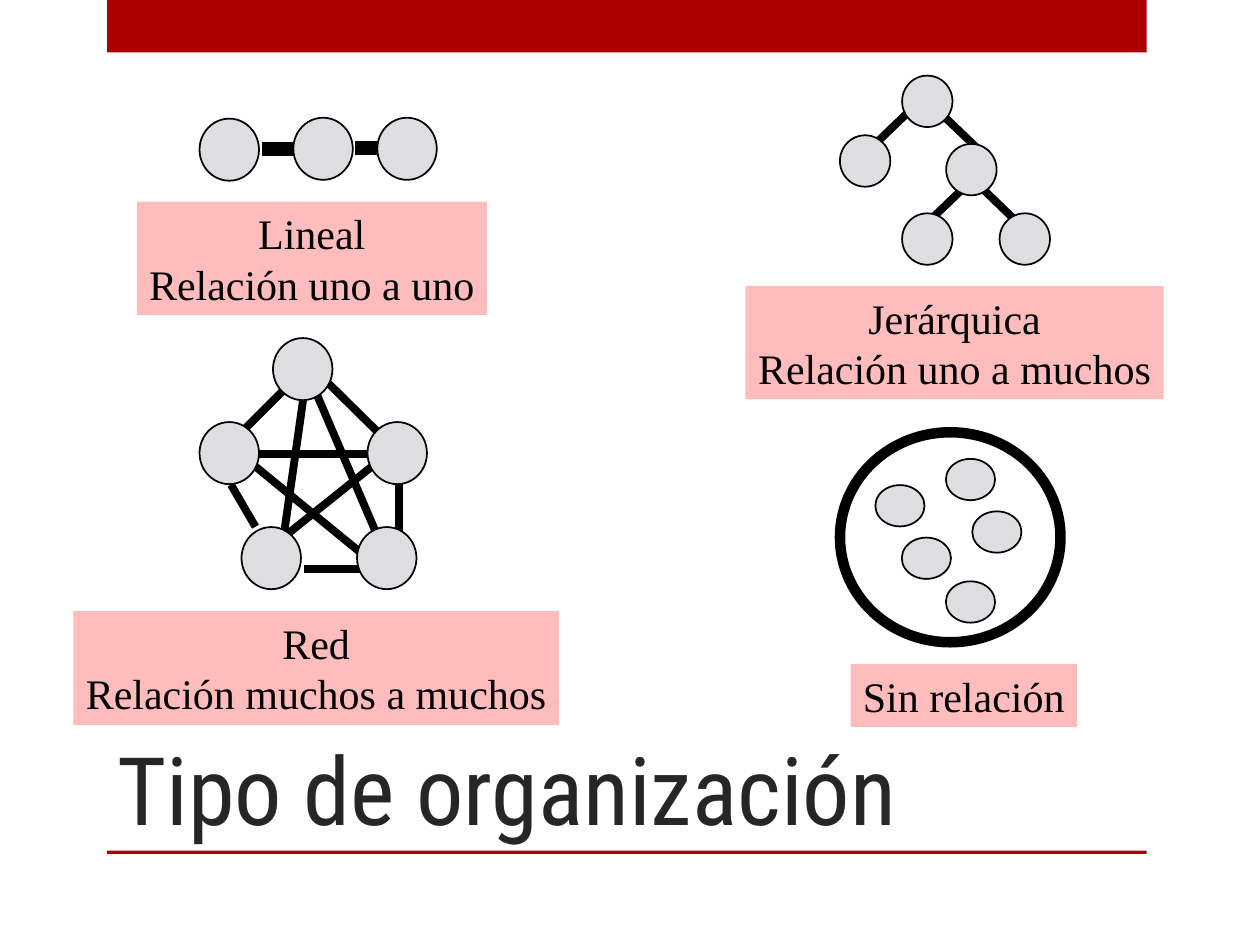
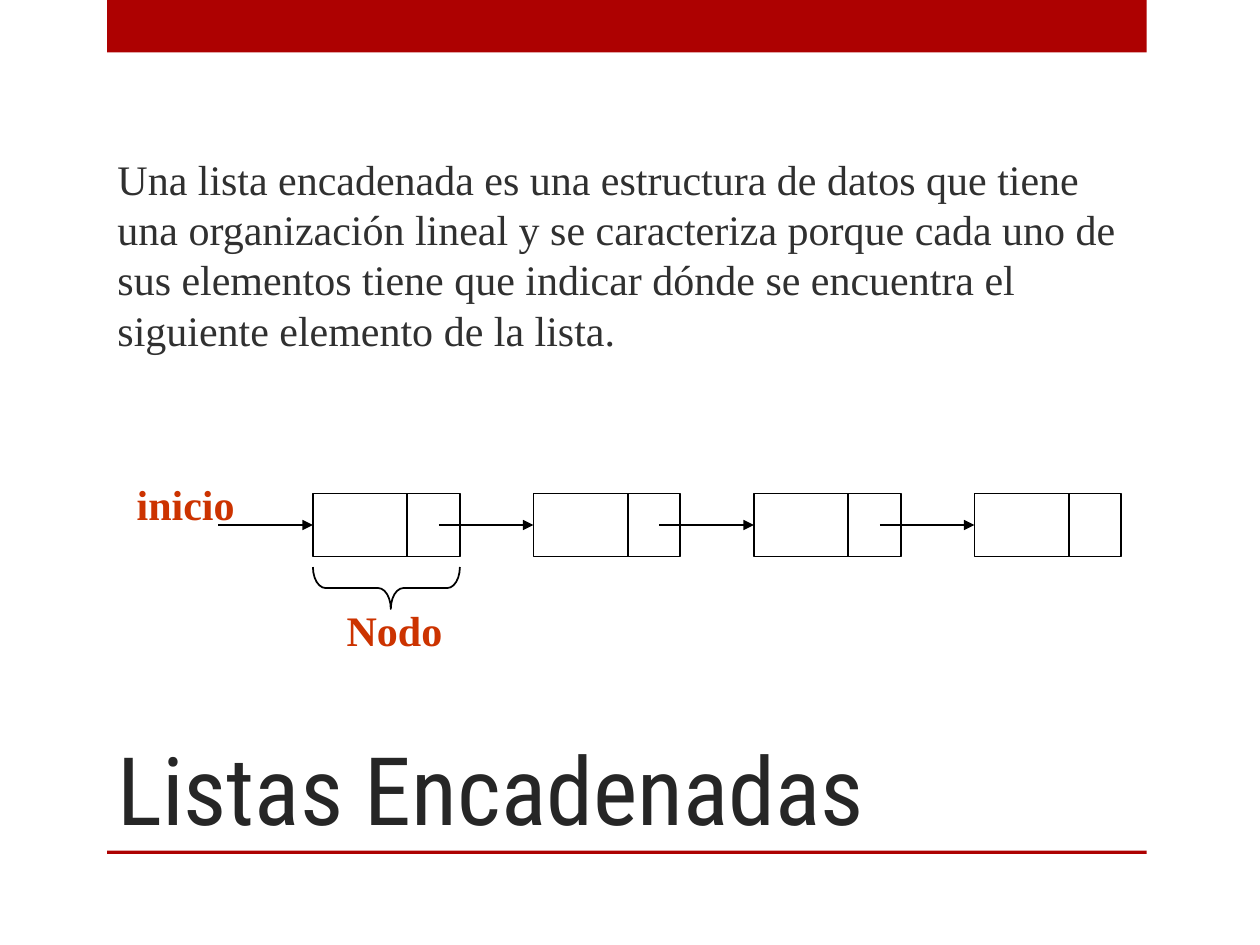
"""Build two slides on types of organisation and linked lists."""
from lxml.etree import SubElement
from pptx import Presentation
from pptx.dml.color import RGBColor
from pptx.enum.shapes import MSO_CONNECTOR, MSO_SHAPE
from pptx.enum.text import MSO_ANCHOR, PP_ALIGN
from pptx.oxml.ns import qn
from pptx.util import Pt

RED = RGBColor(0xAD, 0x01, 0x01)
PINK = RGBColor(0xFF, 0xBC, 0xBC)
GREY = RGBColor(0xDE, 0xDE, 0xE0)
BLACK = RGBColor(0, 0, 0)
TITLE_COLOR = RGBColor(0x26, 0x26, 0x26)
BODY_COLOR = RGBColor(0x30, 0x30, 0x30)
ORANGE = RGBColor(0xCC, 0x33, 0x00)
TITLE_FONT = "Roboto Condensed"
BODY_FONT = "Times New Roman"

BANDS = [(61.2, 0, 594, 30), (61.2, 486, 594, 2)]
TITLE_BOX = (60, 360, 534, 126)

DIAGRAMS = [
    {
        "label": ["Lineal", "Relación uno a uno"],
        "label_box": (78.2, 115.2, 200, 64.8),
        "node_size": (34, 35.5),
        "nodes": [(114, 67.8), (167.6, 67.3), (215.6, 67.3)],
        "edge_width": 8,
        "edges": [(149.6, 85, 167.6, 85), (203, 84.8, 221, 84.8)],
    },
    {
        "label": ["Jerárquica", "Relación uno a muchos"],
        "label_box": (426, 163.4, 239, 64.8),
        "node_size": (28.8, 29.4),
        "nodes": [(515.5, 43.2), (480, 77.3), (540.7, 82.2), (515.5, 121.9), (571.2, 121.9)],
        "edge_width": 4.5,
        "edges": [(500.4, 82, 520.6, 62.6), (540.7, 67.7, 560.9, 87.1),
                  (530.6, 126.7, 550.8, 107.3), (560.9, 107.3, 581, 126.7)],
    },
    {
        "label": ["Red", "Relación muchos a muchos"],
        "label_box": (42, 349.2, 277.4, 65),
        "node_size": (34, 35.5),
        "nodes": [(156, 193.2), (114, 241.2), (210, 241.2), (138, 301.2), (204, 301.2)],
        "edge_width": 4.5,
        "edges": [(162, 223, 138, 247), (132, 277, 146, 301), (186, 217.4, 216, 247),
                  (174, 325.2, 210, 325.2), (228, 271, 228, 307), (174, 223, 162, 307),
                  (144, 265, 210, 319), (222, 259, 162, 307), (144, 259.2, 210, 259.2),
                  (180, 223, 216, 307)],
    },
    {
        "label": ["Sin relación"],
        "label_box": (486, 379.4, 129.4, 36),
        "node_size": (28.1, 23.6),
        "nodes": [(500.2, 277.2), (515.3, 307.2), (555.6, 292.2), (540.5, 332.2), (540.5, 262.2)],
        "edge_width": 6,
        "edges": [],
        "outline": (480, 247, 126, 120),
    },
]

DEFINITION = ("Una lista encadenada es una estructura de datos que tiene una organización "
              "lineal y se caracteriza porque cada uno de sus elementos tiene que indicar "
              "dónde se encuentra el siguiente elemento de la lista.")
DEFINITION_BOX = (60, 54, 594, 182)
LIST_LABELS = [("Nodo", (191, 342, 69, 36)), ("inicio", (71, 270, 70.6, 36))]
LIST_NODE_COUNT = 4
LIST_LEFT, LIST_TOP, LIST_PITCH = 178.8, 282, 126
LIST_NODE_WIDTH, LIST_NODE_HEIGHT = 84, 36
DIVIDER_OFFSET = 54
ARROW_LENGTH = 54
BRACE_TOP, BRACE_DEPTH = 324, 24


def points(*values):
    return [Pt(value) for value in values]


def add_box(slide, kind, box, fill=None, line=None, width=1):
    shape = slide.shapes.add_shape(kind, *points(*box))
    shape.shadow.inherit = False
    if fill is None:
        shape.fill.background()
    else:
        shape.fill.solid()
        shape.fill.fore_color.rgb = fill
    if line is None:
        shape.line.fill.background()
    else:
        shape.line.color.rgb = line
        shape.line.width = Pt(width)
    return shape


def add_line(slide, ends, width=1, arrow=False):
    connector = slide.shapes.add_connector(MSO_CONNECTOR.STRAIGHT, *points(*ends))
    connector.line.color.rgb = BLACK
    connector.line.width = Pt(width)
    if arrow:
        SubElement(connector.line._get_or_add_ln(), qn("a:tailEnd"), type="triangle")
    SubElement(connector._element.spPr, qn("a:effectLst"))
    return connector


def add_text(slide, lines, box, size=24, font=BODY_FONT, color=BLACK, bold=False, fill=None,
             align=PP_ALIGN.LEFT, anchor=MSO_ANCHOR.TOP, wrap=False, side_margin=7.2):
    text_box = slide.shapes.add_textbox(*points(*box))
    if fill is not None:
        text_box.fill.solid()
        text_box.fill.fore_color.rgb = fill
    frame = text_box.text_frame
    frame.word_wrap = wrap
    frame.vertical_anchor = anchor
    frame.margin_left = frame.margin_right = Pt(side_margin)
    for index, line in enumerate(lines):
        paragraph = frame.add_paragraph() if index else frame.paragraphs[0]
        paragraph.text = line
        paragraph.alignment = align
        paragraph.font.size = Pt(size)
        paragraph.font.name = font
        paragraph.font.bold = bold
        paragraph.font.color.rgb = color


def add_titled_slide(presentation, title):
    slide = presentation.slides.add_slide(presentation.slide_layouts[6])
    for band in BANDS:
        add_box(slide, MSO_SHAPE.RECTANGLE, band, fill=RED)
    add_text(slide, [title], TITLE_BOX, size=54, font=TITLE_FONT, color=TITLE_COLOR,
             anchor=MSO_ANCHOR.BOTTOM, wrap=True)
    return slide


def add_diagram(slide, diagram):
    if "outline" in diagram:
        add_box(slide, MSO_SHAPE.OVAL, diagram["outline"], line=BLACK,
                width=diagram["edge_width"])
    for edge in diagram["edges"]:
        add_line(slide, edge, diagram["edge_width"])
    for node in diagram["nodes"]:
        add_box(slide, MSO_SHAPE.OVAL, node + diagram["node_size"], fill=GREY, line=BLACK)
    add_text(slide, diagram["label"], diagram["label_box"], fill=PINK,
             align=PP_ALIGN.CENTER, side_margin=0)


def add_linked_list(slide):
    middle = LIST_TOP + LIST_NODE_HEIGHT / 2
    for index in range(LIST_NODE_COUNT):
        left = LIST_LEFT + index * LIST_PITCH
        divider = left + DIVIDER_OFFSET
        node = add_box(slide, MSO_SHAPE.RECTANGLE,
                       (left, LIST_TOP, LIST_NODE_WIDTH, LIST_NODE_HEIGHT), line=BLACK)
        add_line(slide, (divider, LIST_TOP, divider, LIST_TOP + LIST_NODE_HEIGHT))
        arrow = add_line(slide, (left - ARROW_LENGTH, middle, left, middle), arrow=True)
        arrow.end_connect(node, 1)


def add_node_brace(slide):
    center_x = LIST_LEFT + LIST_NODE_WIDTH / 2
    center_y = BRACE_TOP + BRACE_DEPTH / 2
    brace = add_box(slide, MSO_SHAPE.LEFT_BRACE,
                    (center_x - BRACE_DEPTH / 2, center_y - LIST_NODE_WIDTH / 2,
                     BRACE_DEPTH, LIST_NODE_WIDTH), line=BLACK)
    brace.rotation = 270
    brace.adjustments[0] = 0.3
    brace.adjustments[1] = 0.53


def main():
    presentation = Presentation()
    presentation.slide_width, presentation.slide_height = points(720, 540)

    slide = add_titled_slide(presentation, "Tipo de organización")
    for diagram in DIAGRAMS:
        add_diagram(slide, diagram)

    slide = add_titled_slide(presentation, "Listas Encadenadas")
    add_text(slide, [DEFINITION], DEFINITION_BOX, color=BODY_COLOR,
             anchor=MSO_ANCHOR.MIDDLE, wrap=True)
    add_linked_list(slide)
    add_node_brace(slide)
    for label, box in LIST_LABELS:
        add_text(slide, [label], box, color=ORANGE, bold=True)

    presentation.save("out.pptx")


if __name__ == "__main__":
    main()
